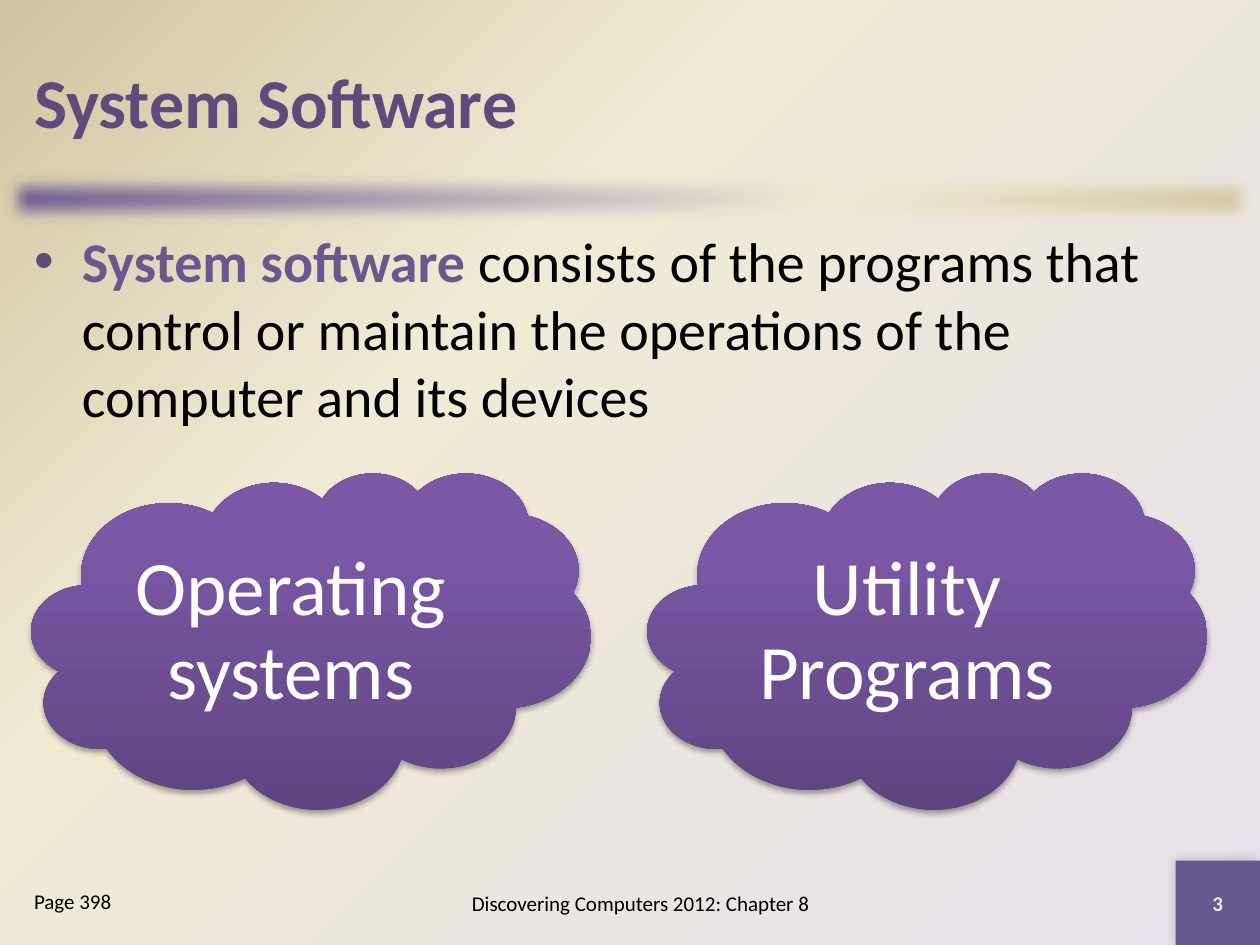
from pptx import Presentation
from pptx.dml.color import RGBColor
from pptx.enum.shapes import MSO_SHAPE
from pptx.enum.text import MSO_ANCHOR, MSO_AUTO_SIZE, PP_ALIGN
from pptx.oxml import parse_xml
from pptx.oxml.ns import nsdecls, qn
from pptx.util import Inches, Pt

RECTANGLE, CLOUD = MSO_SHAPE.RECTANGLE, MSO_SHAPE.CLOUD
LEFT, CENTER = PP_ALIGN.LEFT, PP_ALIGN.CENTER
TOP, MIDDLE = MSO_ANCHOR.TOP, MSO_ANCHOR.MIDDLE
NO_AUTOFIT = MSO_AUTO_SIZE.NONE
TWO_CONTENT_LAYOUT = 3

DARK_PURPLE, PURPLE = "604A7B", "67588E"
LAVENDER, CREAM, SAND = "E6E0EC", "F0EBD5", "D1C39F"
BLACK, WHITE, PALE_YELLOW = "000000", "FFFFFF", "EEEBCA"

LINEAR = '<a:lin ang="{}" scaled="0"/>'
FROM_CORNER = ('<a:path path="circle"><a:fillToRect l="100000" t="100000"/></a:path>'
               '<a:tileRect r="-100000" b="-100000"/>')


def color(value):
    return RGBColor.from_string(value)


def gradient(stops, direction):
    stop_xml = "".join(f'<a:gs pos="{position * 1000}"><a:srgbClr val="{value}"/></a:gs>'
                       for position, value in stops)
    return parse_xml(f'<a:gradFill {nsdecls("a")} rotWithShape="1">'
                     f'<a:gsLst>{stop_xml}</a:gsLst>{direction}</a:gradFill>')


def shadow(opacity, blur, distance, angle):
    return (f'<a:outerShdw blurRad="{Pt(blur)}" dist="{Pt(distance)}" dir="{angle * 60000}" '
            f'algn="ctr" rotWithShape="0"><a:srgbClr val="{BLACK}">'
            f'<a:alpha val="{opacity * 1000}"/></a:srgbClr></a:outerShdw>')


class SlideBuilder:
    font_name = "Calibri"

    def __init__(self, slide):
        self.slide = slide

    def background(self, stops):
        self.slide.background.fill.solid()
        properties = self.slide.element.find(".//" + qn("p:bgPr"))
        solid_fill = properties.find(qn("a:solidFill"))
        properties.replace(solid_fill, gradient(stops, FROM_CORNER))

    def shape(self, kind, box, fill, effect, angle=0):
        shape = self.slide.shapes.add_shape(kind, *map(Inches, box))
        if isinstance(fill, str):
            shape.fill.solid()
            shape.fill.fore_color.rgb = color(fill)
        else:
            shape.element.spPr.append(gradient(fill, LINEAR.format(angle * 60000)))
        shape.line.fill.background()
        shape.element.spPr.append(
            parse_xml(f'<a:effectLst {nsdecls("a")}>{effect}</a:effectLst>'))

    def add_text(self, shape, runs, size, align=LEFT, anchor=MIDDLE, margin=None):
        frame = shape.text_frame
        frame.word_wrap = True
        frame.auto_size = NO_AUTOFIT
        frame.vertical_anchor = anchor
        if margin is not None:
            frame.margin_left = frame.margin_right = Inches(margin)
            frame.margin_top = frame.margin_bottom = Inches(margin)
        paragraph = frame.paragraphs[0]
        paragraph.alignment = align
        paragraph.space_before = Pt(0)
        for text, value, bold in runs:
            run = paragraph.add_run()
            run.text = text
            run.font.name = self.font_name
            run.font.size = Pt(size)
            run.font.bold = bold
            run.font.color.rgb = color(value)
        return paragraph

    def placeholder(self, index, box, runs, size, anchor=TOP):
        shape = self.slide.placeholders[index]
        shape.left, shape.top, shape.width, shape.height = map(Inches, box)
        return self.add_text(shape, runs, size, anchor=anchor)

    def list_item(self, index, box, runs, size, bullet=None):
        paragraph = self.placeholder(index, box, runs, size)
        properties = paragraph._p.get_or_add_pPr()
        properties.set("marL", str(Inches(0.38)))
        properties.set("indent", str(Inches(-0.38)))
        if bullet:
            parts = (f'<a:buClr {nsdecls("a")}><a:srgbClr val="{DARK_PURPLE}"/></a:buClr>',
                     f'<a:buFont {nsdecls("a")} typeface="Arial"/>',
                     f'<a:buChar {nsdecls("a")} char="{bullet}"/>')
        else:
            parts = (f'<a:buNone {nsdecls("a")}/>',)
        for part in parts:
            properties.append(parse_xml(part))

    def label(self, box, text, size, value, bold=False, margin=None):
        shape = self.slide.shapes.add_textbox(*map(Inches, box))
        return self.add_text(shape, [(text, value, bold)], size, CENTER, margin=margin)

    def cloud(self, left, text):
        self.shape(CLOUD, (left, 3.75, 4.44, 2.67),
                   [(0, "5F4480"), (80, "7B58A6"), (100, "7C57A8")],
                   shadow(35, 3.1, 1.8, 90), angle=270)
        paragraph = self.label((left + 0.61, 4.15, 2.9, 1.74), text, 44, WHITE, margin=0.18)
        paragraph.line_spacing = 0.9


def main():
    presentation = Presentation()
    presentation.slide_width, presentation.slide_height = Inches(10), Inches(7.5)
    layout = presentation.slide_layouts[TWO_CONTENT_LAYOUT]
    builder = SlideBuilder(presentation.slides.add_slide(layout))

    # Background, soft divider bar and page number square
    builder.background([(0, LAVENDER), (65, CREAM), (100, SAND)])
    builder.shape(RECTANGLE, (0, 1.33, 10, 0.5), [(0, PURPLE), (65, CREAM), (100, SAND)],
                  f'<a:softEdge rad="{Pt(10)}"/>', angle=45)
    corner = (9.33, 6.83, 0.67, 0.67)
    builder.shape(RECTANGLE, corner, PURPLE, shadow(20, 6, 0, 225))

    # Title and definition
    builder.placeholder(0, (0.17, 0.17, 9.67, 1.25),
                        [("System Software", DARK_PURPLE, True)], 40, MIDDLE)
    builder.list_item(1, (0.17, 1.75, 9.67, 5.08), [
        ("System software ", PURPLE, True),
        ("consists of the programs that control or maintain the operations "
         "of the computer and its devices", BLACK, False)], 32, bullet="•")

    # Footer
    builder.label((3, 6.92, 4.17, 0.5), "Discovering Computers 2012: Chapter 8", 12, BLACK)
    builder.label(corner, "3", 12, PALE_YELLOW, bold=True)
    builder.list_item(2, (0.17, 7, 1.83, 0.5), [("Page 398", BLACK, False)], 12)

    # Kinds of system software
    for column, text in enumerate(("Operating systems", "Utility Programs")):
        builder.cloud(0.25 + column * 4.89, text)

    presentation.save("out.pptx")


if __name__ == "__main__":
    main()
